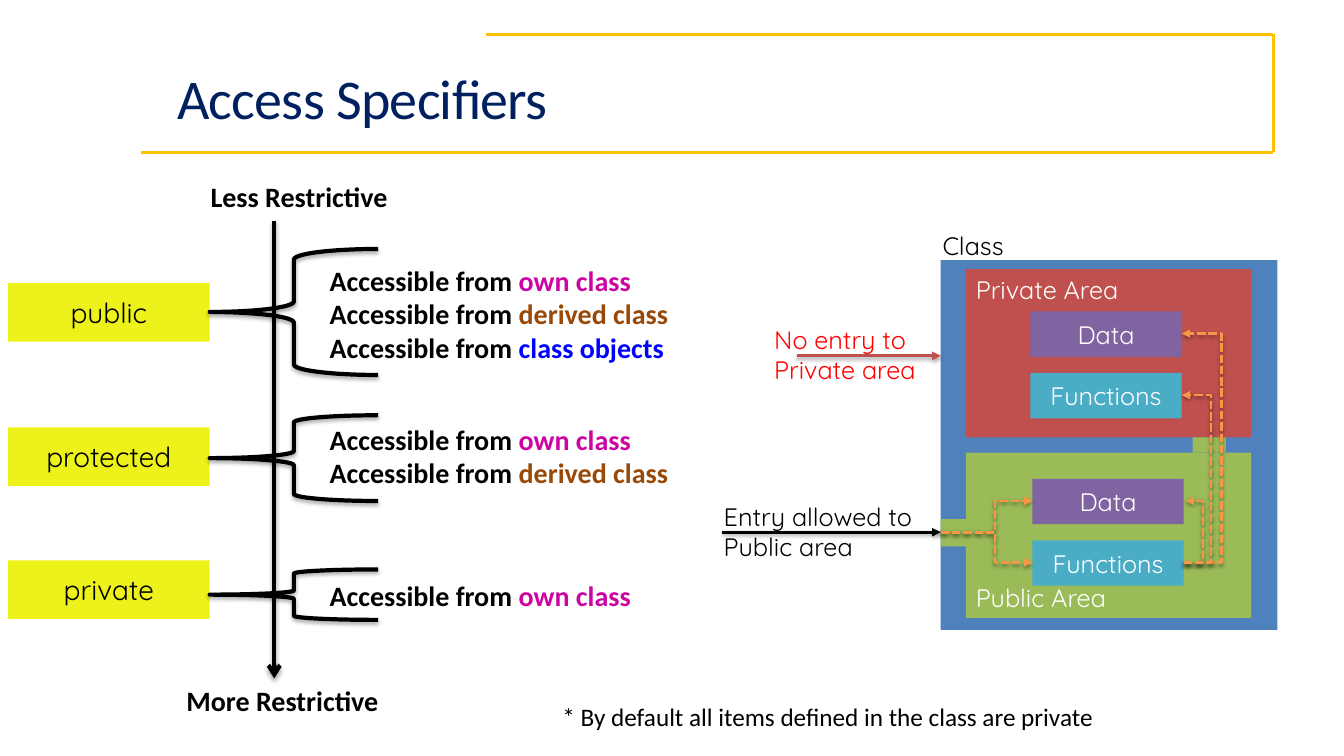
from dataclasses import dataclass

from lxml import etree
from pptx import Presentation
from pptx.dml.color import RGBColor
from pptx.enum.dml import MSO_LINE
from pptx.enum.shapes import MSO_CONNECTOR as CONN, MSO_SHAPE as SHAPE
from pptx.enum.text import MSO_ANCHOR as ANCHOR, MSO_AUTO_SIZE as AUTO, PP_ALIGN as ALIGN
from pptx.oxml.ns import qn
from pptx.util import Inches, Pt


@dataclass(frozen=True)
class Theme:
    head: str = "Calibri"
    body: str = "Quicksand"
    title: int = 40
    large: int = 20
    small: int = 18
    black: str = "000000"
    white: str = "FFFFFF"
    navy: str = "002060"
    gold: str = "FFC100"
    yellow: str = "EDF21A"
    magenta: str = "CC04A1"
    brown: str = "984807"
    pure_blue: str = "0000FF"
    pure_red: str = "FF0000"
    blue: str = "4F81BD"
    red: str = "C0504D"
    green: str = "9BBB59"
    purple: str = "8064A2"
    teal: str = "4BACC6"
    orange: str = "F79646"


T = Theme()
ACCESS = (("own class", T.magenta), ("derived class", T.brown), ("class objects", T.pure_blue))
SPECIFIERS = (
    ("public", 3, 1.08, 0.74, 1.25, 0.83),
    ("protected", 2, 2.51, 2.39, 0.85, 2.41),
    ("private", 1, 3.83, 3.92, 0.5, 3.96),
)


def rgb(color):
    return RGBColor.from_string(color)


def add_shadow(shape, alpha=0, dist=1.8):
    effects = etree.SubElement(shape._element.spPr, qn("a:effectLst"))
    if alpha:
        outer = etree.SubElement(effects, qn("a:outerShdw"), blurRad=str(Pt(3.1)),
                                 dist=str(Pt(dist)), dir="5400000", rotWithShape="0")
        color = etree.SubElement(outer, qn("a:srgbClr"), val=T.black)
        etree.SubElement(color, qn("a:alpha"), val=str(alpha * 1000))


def write(tf, paragraphs, size, font, bold=False, align=ALIGN.LEFT):
    for i, runs in enumerate(paragraphs):
        p = tf.add_paragraph() if i else tf.paragraphs[0]
        p.alignment = align
        for text, color in runs:
            r = p.add_run()
            r.text = text
            for name, value in dict(size=Pt(size), name=font, bold=bold).items():
                setattr(r.font, name, value)
            r.font.color.rgb = rgb(color)


def add_text(s, x, y, w, h, paragraphs, size, font, bold=False, wrap=True):
    tf = s.shapes.add_textbox(*map(Inches, (x, y, w, h))).text_frame
    for name, value in dict(word_wrap=wrap, auto_size=AUTO.SHAPE_TO_FIT_TEXT).items():
        setattr(tf, name, value)
    write(tf, paragraphs, size, font, bold)
    return tf


def add_block(s, x, y, w, h, fill, text="", color=T.white, size=T.small,
              align=ALIGN.CENTER, anchor=ANCHOR.MIDDLE):
    sp = s.shapes.add_shape(SHAPE.RECTANGLE, *map(Inches, (x, y, w, h)))
    sp.shadow.inherit = False
    sp.fill.solid()
    sp.fill.fore_color.rgb = rgb(fill)
    sp.line.fill.background()
    if text:
        sp.text_frame.vertical_anchor = anchor
        write(sp.text_frame, [[(text, color)]], size, T.body, align=align)


def add_line(s, x1, y1, x2, y2, color, width=2, head=None, alpha=0, dist=1.6, via=None):
    kind = CONN.STRAIGHT if via is None else CONN.ELBOW
    line = s.shapes.add_connector(kind, *map(Inches, (x1, y1, x2, y2)))
    line.line.color.rgb = rgb(color)
    line.line.width = Pt(width)
    if via is not None:
        line.line.dash_style = MSO_LINE.SQUARE_DOT
        guides = line._element.spPr.find(qn("a:prstGeom")).find(qn("a:avLst"))
        bend = round((via - x1) / (x2 - x1) * 100000)
        etree.SubElement(guides, qn("a:gd"), name="adj1", fmla=f"val {bend}")
    if head:
        etree.SubElement(line.line._get_or_add_ln(), qn("a:tailEnd"), type=head)
    add_shadow(line, alpha, dist)


def title_frame(s, x, y, w, h):
    right, bottom = x + w, y + h
    corners = [(x + 3.42, y), (right, y), (right, bottom), (x, bottom)]
    for start, end in zip(corners, corners[1:]):
        add_line(s, *start, *end, T.gold)
    tf = add_text(s, x + 0.26, y + 0.05, 6.27, 1.25, [[("Access Specifiers", T.navy)]],
                  T.title, T.head)
    tf.auto_size = AUTO.NONE
    tf.vertical_anchor = ANCHOR.MIDDLE
    p = tf.paragraphs[0]
    p.line_spacing = 0.85
    p.runs[0].font._element.set("spc", "-50")


def specifier(s, x, y, name, count, tag_y, brace_y, brace_h, text_y):
    add_block(s, x, y + tag_y, 2, 0.58, T.yellow, name, T.black, T.large)
    brace = s.shapes.add_shape(SHAPE.LEFT_BRACE, *map(Inches, (x + 2, y + brace_y, 1.67, brace_h)))
    brace.fill.background()
    brace.line.color.rgb = rgb(T.black)
    brace.line.width = Pt(3)
    add_shadow(brace, 35)
    rows = [[("Accessible from ", T.black), access] for access in ACCESS[:count]]
    add_text(s, x + 3.09, y + text_y, 3.59, 0.1 + 0.34 * count, rows, T.large, T.head, True)


def restriction_scale(s, x, y, h):
    add_line(s, x + 2.64, y + 0.46, x + 2.64, y + h - 0.44, T.black, 3, "arrow", 35, 1.8)
    for text, dx, dy, w in (("Less Restrictive", 1.91, 0, 2.33),
                            ("More Restrictive", 1.67, h - 0.44, 2.58)):
        add_text(s, x + dx, y + dy, w, 0.44, [[(text, T.black)]], T.large, T.head, True)
    for row in SPECIFIERS:
        specifier(s, x, y, *row)


def class_diagram(s, x, y, w, h):
    add_block(s, x, y, w, h, T.blue)
    add_block(s, x + 0.25, y + 0.09, 2.83, 1.67, T.red, "Private Area",
              align=ALIGN.LEFT, anchor=ANCHOR.TOP)
    add_block(s, x + 0.25, y + 1.91, 2.83, 1.64, T.green, "Public Area",
              align=ALIGN.LEFT, anchor=ANCHOR.BOTTOM)
    add_block(s, x + 2.5, y + 1.76, 0.33, 0.15, T.green)
    add_block(s, x, y + 2.57, 0.25, 0.27, T.green)
    for dx, dy in ((0.89, 0.51), (0.91, 2.17)):
        for i, (name, fill) in enumerate((("Data", T.purple), ("Functions", T.teal))):
            add_block(s, x + dx, y + dy + 0.61 * i, 1.5, 0.45, fill, name)

    gate, data, functions = y + 2.7, y + 2.39, y + 3
    dashed = dict(color=T.orange, head="triangle", alpha=38)
    for end_x, end_y, via in ((2.39, y + 0.73, 2.78), (2.39, y + 1.34, 2.68), (2.43, data, 2.6)):
        add_line(s, x + 2.41, functions, x + end_x, end_y, via=x + via, **dashed)
    for end_y in (data, functions):
        add_line(s, x, gate, x + 0.91, end_y, via=x + 0.54, **dashed)

    for lines, dx, dy, width, start, line_color, color in (
            (("Entry allowed to", "Public area"), -2.25, 2.34, 2.17, -2.17, T.black, T.black),
            (("No entry to", "Private area"), -1.75, 0.59, 1.69, -1.43, T.red, T.pure_red)):
        arrow_y = y + dy + 0.36
        add_line(s, x + start, arrow_y, x, arrow_y, line_color, head="triangle", alpha=38)
        add_text(s, x + dx, y + dy, width, 0.71, [[(line, color)] for line in lines],
                 T.small, T.body, wrap=False)
    add_text(s, x - 0.08, y - 0.34, 0.83, 0.4, [[("Class", T.black)]], T.small, T.body, wrap=False)


def footnote(s, x, y, w, h):
    add_text(s, x, y, w, h, [[("* By default all items defined in the class are private", T.black)]],
             T.small, T.head, wrap=False)


def main():
    prs = Presentation()
    prs.slide_width, prs.slide_height = Inches(13.33), Inches(7.5)
    s = prs.slides.add_slide(prs.slide_layouts[6])
    title_frame(s, 1.4, 0.34, 11.23, 1.17)
    restriction_scale(s, 0.08, 1.73, 5.44)
    class_diagram(s, 9.33, 2.58, 3.34, 3.67)
    footnote(s, 5.48, 6.91, 5.53, 0.4)
    prs.save("out.pptx")


if __name__ == "__main__":
    main()
